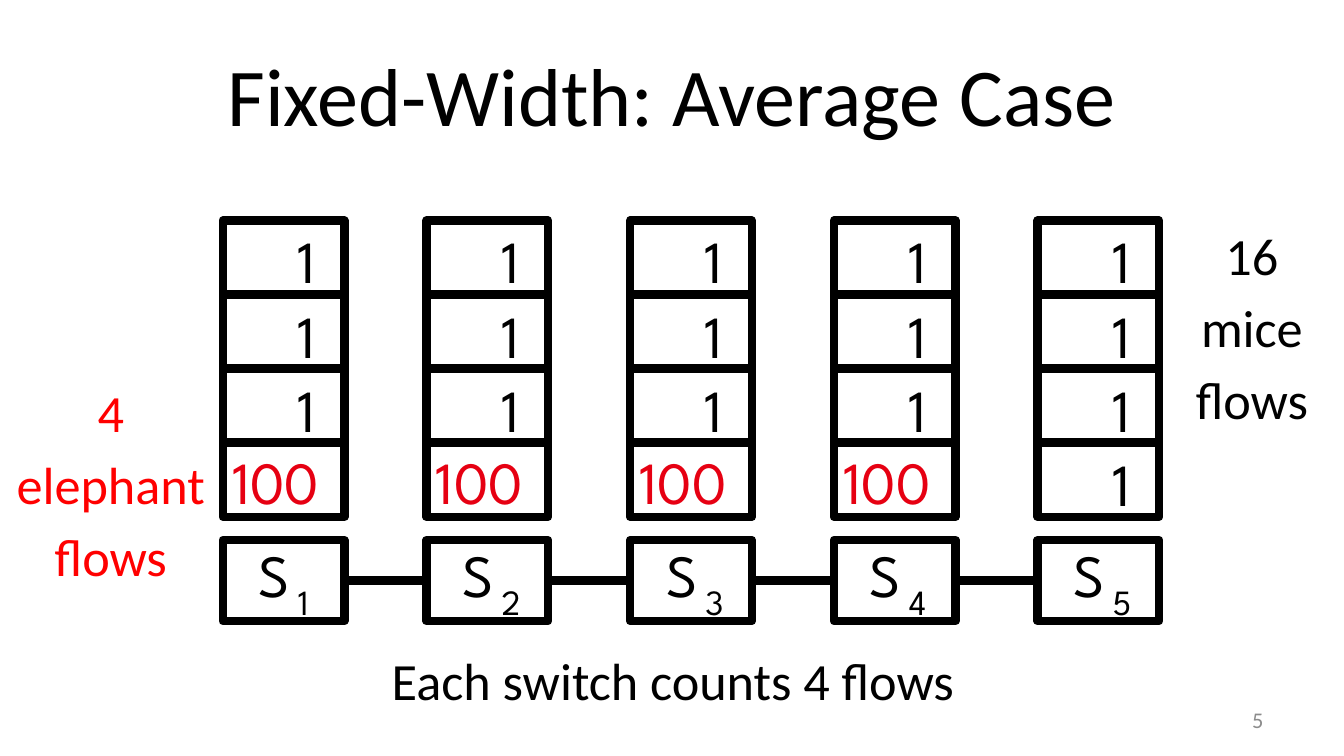
"""Build the slide on average-case flow counters of fixed-width switches."""
from dataclasses import dataclass

from lxml import etree
from pptx import Presentation
from pptx.dml.color import RGBColor
from pptx.enum.shapes import MSO_CONNECTOR, MSO_SHAPE
from pptx.enum.text import MSO_ANCHOR, MSO_AUTO_SIZE, PP_ALIGN
from pptx.oxml.ns import qn
from pptx.util import Cm, Pt

RECTANGLE = MSO_SHAPE.RECTANGLE
STRAIGHT = MSO_CONNECTOR.STRAIGHT
TOP, MIDDLE = MSO_ANCHOR.TOP, MSO_ANCHOR.MIDDLE
CENTER, RIGHT = PP_ALIGN.CENTER, PP_ALIGN.RIGHT
GROW = MSO_AUTO_SIZE.SHAPE_TO_FIT_TEXT


@dataclass(frozen=True)
class Theme:
    body_font: str = "Calibri"
    figure_font: str = "League Spartan"
    ink: str = "000000"
    elephant: str = "E60012"
    elephant_note: str = "FF0000"
    muted: str = "8C8C8C"
    title: float = 44
    note: float = 28
    figure: float = 32
    subscript: float = 19
    page: float = 12
    stroke: float = 4.5
    note_gap: float = 5


THEME = Theme()
SWITCH_COUNT, ROW_COUNT = 5, 4
FIRST_LEFT, PITCH, BOX_WIDTH = 4.21, 3.85, 2.3
COUNTER_TOP, ROW_HEIGHT = 4.17, 1.4
SWITCH_TOP, SWITCH_HEIGHT = 10.21, 1.53


def add_run(paragraph, words, font, size, color):
    run = paragraph.add_run()
    run.text = words
    run.font.name = font
    run.font.size = Pt(size)
    run.font.color.rgb = RGBColor.from_string(color)


def add_note(slide, lines, box, size, color=THEME.ink, align=CENTER, anchor=TOP, gap=0):
    frame = slide.shapes.add_textbox(*map(Cm, box)).text_frame
    frame.word_wrap = True
    frame.vertical_anchor = anchor
    for index, line in enumerate(lines):
        paragraph = frame.add_paragraph() if index else frame.paragraphs[0]
        paragraph.alignment = align
        paragraph.space_before = Pt(gap)
        add_run(paragraph, line, THEME.body_font, size, color)


def add_figure(slide, words, box, size=THEME.figure, color=THEME.ink):
    frame = slide.shapes.add_textbox(*map(Cm, box)).text_frame
    frame.margin_left = frame.margin_right = frame.margin_top = frame.margin_bottom = 0
    frame.word_wrap = False
    frame.auto_size = GROW
    add_run(frame.paragraphs[0], words, THEME.figure_font, size, color)


def draw_stroke(line):
    line.color.rgb = RGBColor.from_string(THEME.ink)
    line.width = Pt(THEME.stroke)


def add_cell(slide, left, top, height):
    cell = slide.shapes.add_shape(RECTANGLE, Cm(left), Cm(top), Cm(BOX_WIDTH), Cm(height))
    cell.shadow.inherit = False
    cell.fill.background()
    draw_stroke(cell.line)


def add_link(slide, start, end, level):
    link = slide.shapes.add_connector(STRAIGHT, Cm(start), Cm(level), Cm(end), Cm(level))
    draw_stroke(link.line)
    etree.SubElement(link._element.spPr, qn("a:effectLst"))


def add_counters(slide, left, counts):
    for row, count in enumerate(counts):
        top = COUNTER_TOP + row * ROW_HEIGHT
        if count == "100":
            add_figure(slide, count, (left + 0.18, top + 0.04, 2.49, 1.55), color=THEME.elephant)
        else:
            add_figure(slide, count, (left + 1.41, top + 0.07, 0.69, 1.37))
        add_cell(slide, left, top, ROW_HEIGHT)
    add_link(slide, left, left + BOX_WIDTH, COUNTER_TOP + ROW_COUNT * ROW_HEIGHT)


def add_switch(slide, left, number):
    add_cell(slide, left, SWITCH_TOP, SWITCH_HEIGHT)
    add_figure(slide, "S", (left + 0.68, 10.16, 1.3, 1.55))
    add_figure(slide, str(number), (left + 1.42, 10.97, 0.74, 0.94), THEME.subscript)
    if number < SWITCH_COUNT:
        add_link(slide, left + BOX_WIDTH, left + PITCH, SWITCH_TOP + SWITCH_HEIGHT / 2)


def main():
    deck = Presentation()
    deck.slide_width, deck.slide_height = Cm(25.4), Cm(14.29)
    slide = deck.slides.add_slide(deck.slide_layouts[6])

    add_note(slide, ["Fixed-Width: Average Case"], (1.27, 0.58, 22.86, 2.39),
             THEME.title, anchor=MIDDLE)
    add_note(slide, ["5"], (18.21, 13.23, 5.92, 0.76),
             THEME.page, THEME.muted, RIGHT, MIDDLE)

    for number in range(1, SWITCH_COUNT + 1):
        left = FIRST_LEFT + (number - 1) * PITCH
        last_count = "100" if number < SWITCH_COUNT else "1"
        add_counters(slide, left, ["1"] * (ROW_COUNT - 1) + [last_count])
        add_switch(slide, left, number)

    add_note(slide, ["4", "elephant", "flows"], (0, 7.06, 4.19, 4.09),
             THEME.note, THEME.elephant_note, gap=THEME.note_gap)
    add_note(slide, ["16", "mice", "flows"], (21.92, 4.09, 3.48, 4.17),
             THEME.note, gap=THEME.note_gap)
    add_note(slide, ["Each switch counts 4 flows"], (3.23, 12.12, 18.97, 1.55),
             THEME.note, gap=THEME.note_gap)

    deck.save("out.pptx")


if __name__ == "__main__":
    main()
